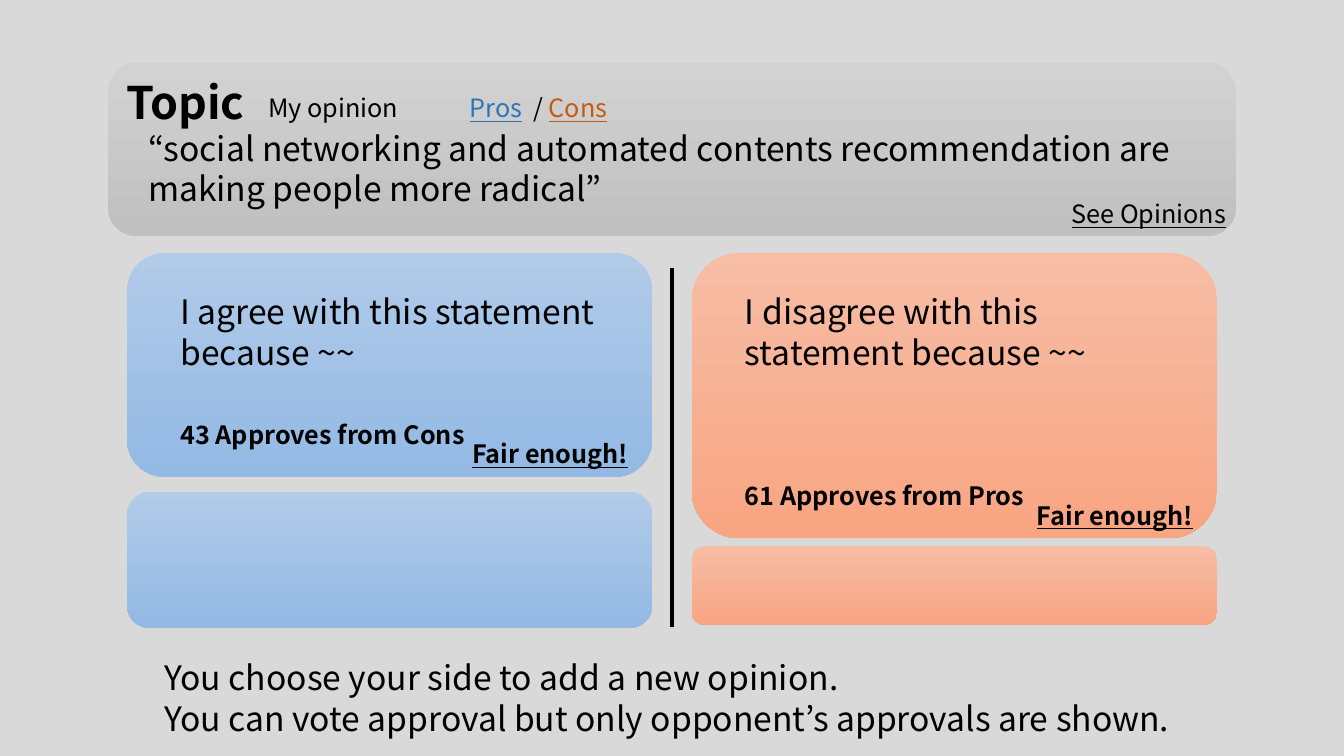
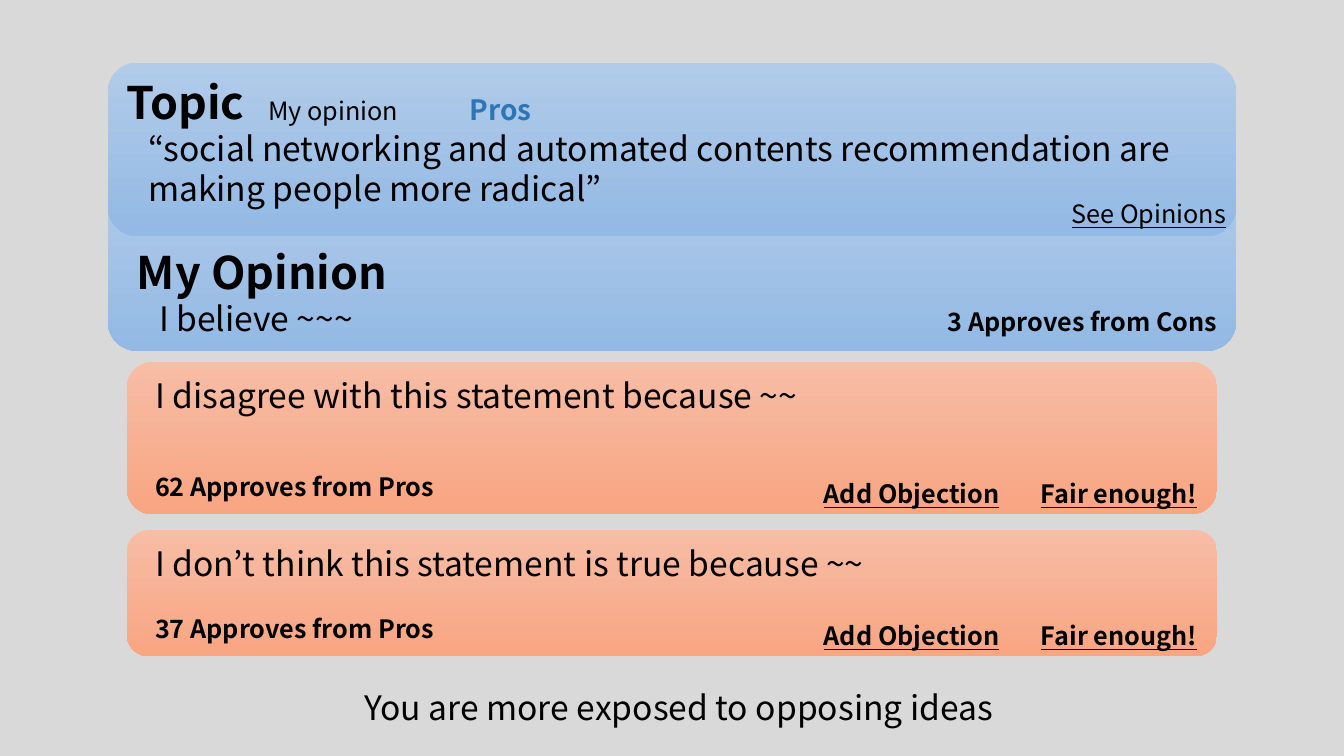
"""Build two slides of a debate board with topics, opinions and approvals."""
from typing import NamedTuple

from lxml import etree
from pptx import Presentation
from pptx import util as u
from pptx.dml.color import RGBColor
from pptx.enum import shapes, text
from pptx.oxml.ns import qn


class Theme:
    """Colours, font and type sizes of the deck."""
    font = "Noto Sans CJK KR"
    back, ink = "D9D9D9", "000000"
    pro, con = "2E75B6", "C55A11"
    gray = ("D2D2D2", "C0C0C0")
    blue = ("B1CBE9", "93B9E4")
    red = ("F7BDA5", "F8A582")
    head, body, strong, small = 32, 24, 20, 18


class Grid:
    """Slide size, columns, gutter and row heights in inches."""
    wide, high = 13.33, 7.5
    left, col, gap = 1.26, 5.21, 0.39
    right = left + col + gap
    full = 2 * col + gap
    edge, top = 1.07, 0.62
    span, band = 11.19, 1.72
    note, count = 2.96, 3.2
    line, pair = 0.4, 0.91
    dent, drop = 0.22, 0.53


class Run(NamedTuple):
    """A piece of text in one style."""
    words: str
    size: int = Theme.body
    bold: bool = False
    under: bool = False
    ink: str = Theme.ink


LEFT, MID, RIGHT = (text.PP_ALIGN.LEFT, text.PP_ALIGN.CENTER,
                    text.PP_ALIGN.RIGHT)


def place(x, y, w, h):
    """Turn inches into a shape's left, top, width and height."""
    return [u.Inches(n) for n in (x, y, w, h)]


def write(frame, lines, align=LEFT, tabs=()):
    """Fill a text frame with lines of runs."""
    frame.word_wrap = True
    frame.vertical_anchor = text.MSO_ANCHOR.TOP
    for i, line in enumerate(lines):
        para = frame.add_paragraph() if i else frame.paragraphs[0]
        para.alignment = align
        if tabs:
            stops = etree.SubElement(para._p.get_or_add_pPr(), qn("a:tabLst"))
            for stop in tabs:
                etree.SubElement(stops, qn("a:tab"), algn="l",
                                 pos=str(u.Inches(stop)))
        for part in line:
            run = para.add_run()
            run.text = part.words
            font = run.font
            font.name, font.size = Theme.font, u.Pt(part.size)
            font.bold, font.underline = part.bold, part.under
            font.color.rgb = RGBColor.from_string(part.ink)
            etree.SubElement(run._r.get_or_add_rPr(), qn("a:ea"),
                             typeface=Theme.font)


def label(slide, spot, *lines, **style):
    """Add a text box."""
    write(slide.shapes.add_textbox(*place(*spot)).text_frame, lines, **style)


def panel(slide, spot, tint):
    """Add a rounded panel with a fade from top to bottom."""
    box = slide.shapes.add_shape(shapes.MSO_SHAPE.ROUNDED_RECTANGLE,
                                 *place(*spot))
    box.shadow.inherit = False
    box.line.fill.background()
    box.fill.gradient()
    box.fill.gradient_angle = 270
    for stop, shade in zip(box.fill.gradient_stops, tint):
        stop.color.rgb = RGBColor.from_string(shade)


def rule(slide, x, top, end):
    """Add the upright line between the sides."""
    bar = slide.shapes.add_connector(shapes.MSO_CONNECTOR.STRAIGHT,
                                     *place(x, top, x, end))
    bar.line.color.rgb = RGBColor.from_string(Theme.ink)
    bar.line.width = u.Pt(3)
    etree.SubElement(bar._element.spPr, qn("a:effectLst"))


def link(slide, right, y, words, bold=True, wide=Grid.note):
    """Add an underlined link that ends at the right edge."""
    label(slide, (right - wide, y, wide, Grid.line),
          [Run(words, Theme.small, bold, True)], align=RIGHT)


def votes(slide, x, y, words):
    """Add a bold count of approvals on one line."""
    label(slide, (x, y, Grid.count, Grid.line),
          [Run(words, Theme.small, True)])


def topic(slide, tint, sides):
    """Add the topic band with its title, stance and link."""
    panel(slide, (Grid.edge, Grid.top, Grid.span, Grid.band), tint)
    x, y = 1.15, 0.69
    title = slide.shapes.title
    title.left, title.top, title.width, title.height = place(x, y, 1.4, 0.64)
    title.text_frame.auto_size = text.MSO_AUTO_SIZE.NONE
    write(title.text_frame, [[Run("Topic", Theme.head, True)]])
    slide.shapes._spTree.append(title._element)
    end = Grid.edge + Grid.span
    quote = x + Grid.dent
    label(slide, (quote, y + Grid.drop, end - quote, Grid.pair),
          [Run("“social networking and automated contents recommendation "
               "are making people more radical”")])
    label(slide, (2.56, 0.87, 5.35, Grid.line),
          [Run("My opinion\t", Theme.small), *sides], tabs=(2, 2.63))
    link(slide, end, 1.92, "See Opinions", False, 4.37)


def column(slide, x, tint, high, words, count, spare):
    """Add one side with an opinion card and an empty card below."""
    top = 2.51
    end = top + high
    panel(slide, (x, top, Grid.col, high), tint)
    label(slide, (x + 0.43, top + 0.33, 4.36, Grid.pair), [Run(words)])
    votes(slide, x + 0.43, end - 0.62, count)
    link(slide, x + Grid.col - 0.14, end - 0.43, "Fair enough!")
    panel(slide, (x, *spare), tint)


def reply(slide, top, high, words, count):
    """Add a full-width opposing opinion with its links."""
    end, right = top + high, Grid.left + Grid.full - 0.1
    panel(slide, (Grid.left, top, Grid.full, high), Theme.red)
    x = Grid.left + 0.18
    label(slide, (x, top + 0.08, 8.58, 0.5), [Run(words)])
    votes(slide, x, end - 0.47, count)
    link(slide, right, end - 0.4, "Fair enough!")
    link(slide, right - 1.96, end - 0.4, "Add Objection")


def mine(slide):
    """Add the text of the viewer's own opinion."""
    x, y = Grid.left, 2.38
    votes(slide, 9.3, 2.99, "3 Approves from Cons")
    label(slide, (x, y, 6, 0.64), [Run("My Opinion", Theme.head, True)])
    label(slide, (x + Grid.dent, y + Grid.drop, 6, 0.5),
          [Run("I believe ~~~")])


def foot(slide, y, *lines, align=LEFT):
    """Add the remark below the board."""
    label(slide, (1.53, y, 10.4, 0.5 * len(lines)),
          *[[Run(line)] for line in lines], align=align)


def debate(slide):
    """Build the board with both sides."""
    topic(slide, Theme.gray,
          [Run("Pros", Theme.small, under=True, ink=Theme.pro),
           Run("\t/ ", Theme.small),
           Run("Cons", Theme.small, under=True, ink=Theme.con)])
    column(slide, Grid.left, Theme.blue, 2.22,
           "I agree with this statement because ~~",
           "43 Approves from Cons", (4.88, Grid.col, 1.35))
    column(slide, Grid.right, Theme.red, 2.83,
           "I disagree with this statement because ~~",
           "61 Approves from Pros", (5.42, Grid.col, 0.78))
    rule(slide, Grid.wide / 2, 2.66, 6.22)
    foot(slide, 6.47, "You choose your side to add a new opinion.",
         "You can vote approval but only opponent’s approvals are shown.")


def oppose(slide):
    """Build the board of opposing replies."""
    panel(slide, (Grid.edge, 1.76, Grid.span, Grid.band), Theme.blue)
    topic(slide, Theme.blue,
          [Run("Pros", Theme.strong, True, ink=Theme.pro)])
    mine(slide)
    reply(slide, 3.59, 1.51, "I disagree with this statement because ~~",
          "62 Approves from Pros")
    reply(slide, 5.26, 1.25,
          "I don’t think this statement is true because ~~",
          "37 Approves from Pros")
    foot(slide, 6.77, "You are more exposed to opposing ideas", align=MID)


def main():
    """Make the deck and save it."""
    deck = Presentation()
    deck.slide_width = u.Inches(Grid.wide)
    deck.slide_height = u.Inches(Grid.high)
    fill = deck.slide_master.background.fill
    fill.solid()
    fill.fore_color.rgb = RGBColor.from_string(Theme.back)
    for build in (debate, oppose):
        build(deck.slides.add_slide(deck.slide_layouts[5]))
    deck.save("out.pptx")


if __name__ == "__main__":
    main()
